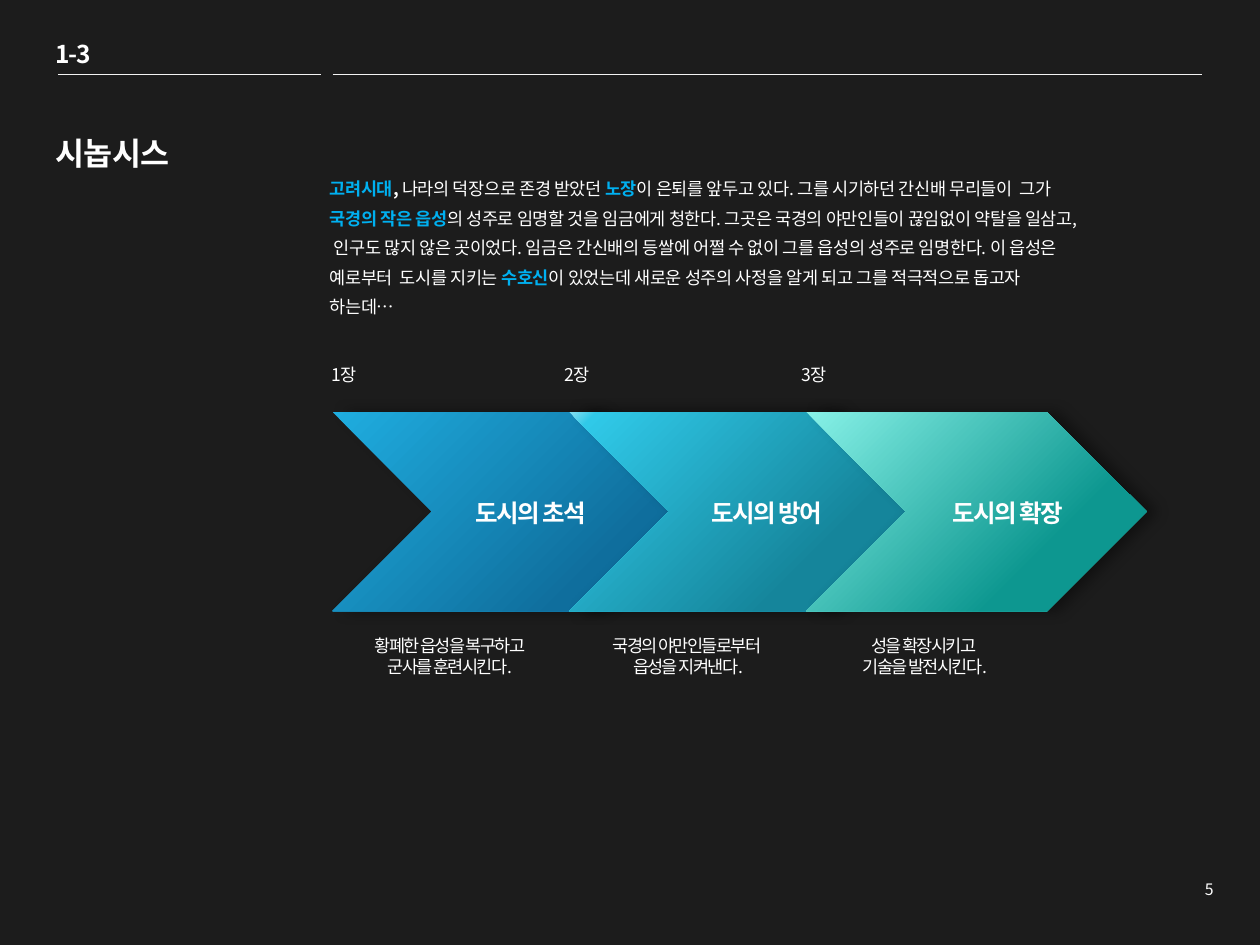
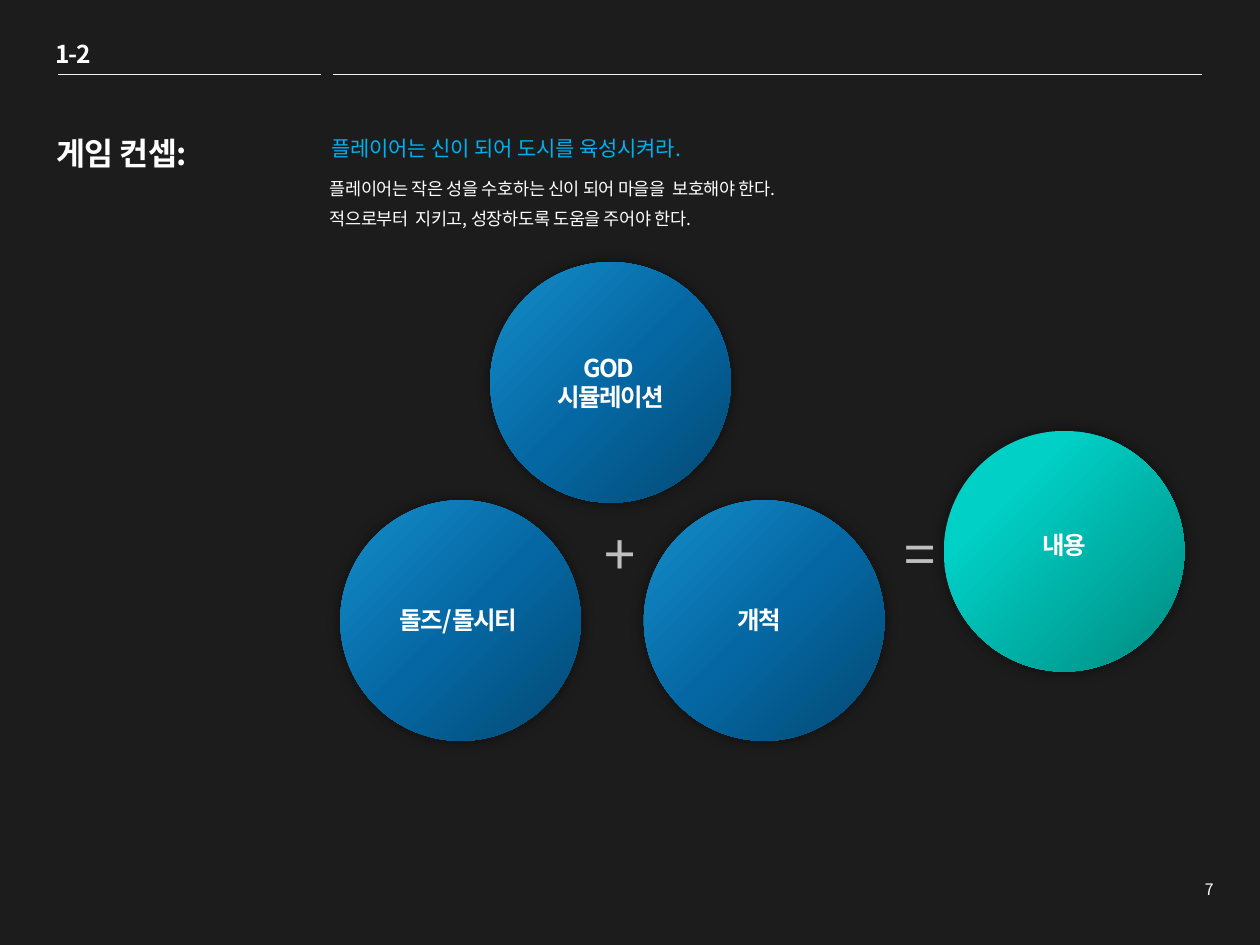
from dataclasses import dataclass
from pptx import Presentation
from pptx.dml.color import RGBColor
from pptx.enum.shapes import MSO_CONNECTOR, MSO_SHAPE
from pptx.enum.text import MSO_ANCHOR, MSO_AUTO_SIZE, PP_ALIGN
from pptx.oxml import parse_xml
from pptx.oxml.ns import nsdecls, qn
from pptx.util import Inches, Pt
from lxml.etree import SubElement

FONT = "Noto Sans CJK KR"
HUES = {"back": "1C1C1C", "text": "FFFFFF", "mark": "00B0F0",
        "rule": "F2F2F2", "sign": "BFBFBF", "shade": "000000"}
LEFT, MID = PP_ALIGN.LEFT, PP_ALIGN.CENTER


@dataclass
class Look:
    size: float
    hue: str = "text"
    bold: bool = False
    track: float = 0
    align: PP_ALIGN = LEFT
    lead: float = 1.0


HEAD = Look(18, bold=True, track=-0.4)
CODE = Look(14, bold=True, track=-0.6)
LABEL = Look(14, bold=True, track=-0.9, align=MID)
NOTE = Look(10, track=-0.9, align=MID)
STEP = Look(10)
BODY = Look(10, track=-0.2, lead=1.4)
LEAD = Look(12, "mark", track=-0.08)
SIGN = Look(32, "sign", track=-0.5, align=MID, lead=1.2)
PAGE = Look(9, align=PP_ALIGN.RIGHT)


@dataclass
class Blend:
    stops: list
    round: bool = False
    dark: int = 38
    dist: int = 6
    turn: int = 0


@dataclass
class Stage:
    left: float
    width: float
    blend: Blend
    mark: str
    mark_x: float
    name: str
    name_x: float
    notes: list


@dataclass
class Disc:
    left: float
    top: float
    blend: Blend
    lines: list
    text_x: float
    text_y: float


BLUE = Blend([(0, "034973"), (50, "0568A4"), (100, "148DCA")], True, 52, 0, 50)
TEAL = Blend([(0, "008A80"), (74, "00D0C6")], True, 52, 0, 50)

STAGES = [
    Stage(2.64, 2.86, Blend([(0, "1FADDF"), (75, "0F6E9D")]), "1장", 2.53,
          "도시의 초석", 3.52, ["황폐한 읍성을 복구하고 ", "군사를 훈련시킨다. "]),
    Stage(4.52, 2.86, Blend([(1, "78DCF0"), (5, "30C9E8"), (70, "15859B")], dark=55), "2장", 4.38,
          "도시의 방어", 5.39, ["국경의 야만인들로부터 ", "읍성을 지켜낸다."]),
    Stage(6.4, 2.7, Blend([(0, "87F1E7"), (70, "0D9790")]), "3장", 6.26,
          "도시의 확장", 7.3, ["성을 확장시키고 ", "기술을 발전시킨다."]),
]

DISCS = [
    Disc(5.11, 3.97, BLUE, ["개척"], 5.38, 4.75),
    Disc(2.7, 3.97, BLUE, ["돌즈/돌시티"], 2.99, 4.75),
    Disc(7.49, 3.42, TEAL, ["내용"], 7.8, 4.16),
    Disc(3.89, 2.08, BLUE, ["GOD ", "시뮬레이션"], 4.2, 2.75),
]

MARK = {"hue": "mark", "bold": True}
STORY = [
    ("고려시대", MARK), (", ", {"bold": True}), ("나라의 덕장으로 존경 받았던 ", {}),
    ("노장", MARK),
    ("이 은퇴를 앞두고 있다. 그를 시기하던 간신배 무리들이  그가 ", {}),
    ("국경의 작은 읍성", MARK),
    ("의 성주로 임명할 것을 임금에게 청한다. 그곳은 국경의 야만인들이 끊임없이 약탈을 "
     "일삼고, 인구도 많지 않은 곳이었다. 임금은 간신배의 등쌀에 어쩔 수 없이 그를 읍성의 "
     "성주로 임명한다. 이 읍성은 예로부터  도시를 지키는 ", {}),
    ("수호신", MARK),
    ("이 있었는데 새로운 성주의 사정을 알게 되고 그를 적극적으로 돕고자 하는데…", {}),
]


def place(shape, box: tuple) -> None:
    for key, val in zip(("left", "top", "width", "height"), box):
        setattr(shape, key, Inches(val))


def write(frame, paras: list, look: Look) -> None:
    for i, runs in enumerate(paras):
        para = frame.paragraphs[0] if i == 0 else frame.add_paragraph()
        para.alignment, para.line_spacing = look.align, look.lead
        for words, change in [(runs, {})] if isinstance(runs, str) else runs:
            run = para.add_run()
            run.text = words
            form = {"name": FONT, "size": Pt(look.size), "bold": change.get("bold", look.bold)}
            for key, val in form.items():
                setattr(run.font, key, val)
            run.font.color.rgb = RGBColor.from_string(HUES[change.get("hue", look.hue)])
            props = run._r.get_or_add_rPr()
            props.set("spc", str(round(look.track * 100)))
            SubElement(props, qn("a:ea")).set("typeface", FONT)


def add_text(slide, box: tuple, paras: list, look: Look, wrap: bool = True) -> None:
    shape = slide.shapes.add_textbox(*map(Inches, box))
    frame = shape.text_frame
    frame.word_wrap = wrap
    frame.auto_size = MSO_AUTO_SIZE.SHAPE_TO_FIT_TEXT
    write(frame, paras, look)


def add_form(slide, kind: MSO_SHAPE, box: tuple, blend: Blend) -> None:
    shape = slide.shapes.add_shape(kind, *map(Inches, box))
    shape.line.fill.background()
    shape.shadow.inherit = False
    stops = "".join(f'<a:gs pos="{pos * 1000}"><a:srgbClr val="{hue}"/></a:gs>'
                    for pos, hue in blend.stops)
    flow = ('<a:path path="circle"><a:fillToRect l="100000" t="100000"/></a:path>'
            if blend.round else '<a:lin ang="2700000" scaled="0"/>')
    props = shape._element.spPr
    props.find(qn("a:prstGeom")).addnext(parse_xml(
        f'<a:gradFill {nsdecls("a")} rotWithShape="1"><a:gsLst>{stops}</a:gsLst>{flow}</a:gradFill>'))
    props.find(qn("a:effectLst")).append(parse_xml(
        f'<a:outerShdw {nsdecls("a")} blurRad="{Pt(8)}" dist="{Pt(blend.dist)}" '
        f'dir="{blend.turn * 60000}" algn="ctr" rotWithShape="0">'
        f'<a:srgbClr val="{HUES["shade"]}"><a:alpha val="{blend.dark * 1000}"/></a:srgbClr>'
        '</a:outerShdw>'))


def add_rule(slide, start: float, end: float) -> None:
    y = Inches(0.59)
    line = slide.shapes.add_connector(MSO_CONNECTOR.STRAIGHT, Inches(start), y, Inches(end), y)
    line.line.color.rgb = RGBColor.from_string(HUES["rule"])
    line.line.width = Pt(0.25)
    SubElement(line._element.spPr, qn("a:effectLst"))


def add_slide(deck, code: str, title: str, box: tuple, page: str):
    slide = deck.slides.add_slide(deck.slide_layouts[5])
    head = slide.shapes.title
    place(head, box)
    form = {"word_wrap": True, "auto_size": MSO_AUTO_SIZE.NONE, "vertical_anchor": MSO_ANCHOR.TOP}
    for key, val in form.items():
        setattr(head.text_frame, key, val)
    write(head.text_frame, [title], HEAD)
    add_text(slide, (0.34, 0.26, 0.49, 0.34), [code], CODE, False)
    for start, end in ((0.46, 2.55), (2.64, 9.54)):
        add_rule(slide, start, end)
    add_text(slide, (9.45, 6.93, 0.28, 0.25), [page], PAGE, False)
    return slide


def draw_plot(deck) -> None:
    slide = add_slide(deck, "1-3", "시놉시스", (0.34, 1.01, 1.81, 1.61), "5")
    add_text(slide, (2.52, 1.3, 6.11, 1.28), [STORY], BODY)
    for stage in STAGES:
        add_form(slide, MSO_SHAPE.CHEVRON, (stage.left, 3.27, stage.width, 1.58), stage.blend)
    for stage in STAGES:
        add_text(slide, (stage.mark_x, 2.84, 1.26, 0.27), [stage.mark], STEP)
        add_text(slide, (stage.name_x, 3.9, 1.39, 0.34), [stage.name], LABEL)
        add_text(slide, (stage.left, 4.99, 1.88, 0.44), stage.notes, NOTE)


def draw_game(deck) -> None:
    slide = add_slide(deck, "1-2", "게임 컨셉:", (0.35, 1.01, 2.05, 1.61), "7")
    add_text(slide, (2.53, 1.03, 5.32, 0.3), ["플레이어는 신이 되어 도시를 육성시켜라."], LEAD)
    add_text(slide, (2.52, 1.3, 6.11, 0.57),
             ["플레이어는 작은 성을 수호하는 신이 되어 마을을  보호해야 한다.",
              "적으로부터  지키고, 성장하도록 도움을 주어야 한다."], BODY)
    for disc in DISCS:
        add_form(slide, MSO_SHAPE.OVAL, (disc.left, disc.top, 1.91, 1.91), disc.blend)
        high = 0.34 if len(disc.lines) == 1 else 0.57
        add_text(slide, (disc.text_x, disc.text_y, 1.29, high), disc.lines, LABEL)
    for sign, left in (("+", 4.7), ("=", 7.08)):
        add_text(slide, (left, 3.97, 0.3, 0.69), [sign], SIGN)


deck = Presentation()
deck.slide_width, deck.slide_height = Inches(10), Inches(7.5)
fill = deck.slide_master.background.fill
fill.solid()
fill.fore_color.rgb = RGBColor.from_string(HUES["back"])
draw_plot(deck)
draw_game(deck)
deck.save("out.pptx")
